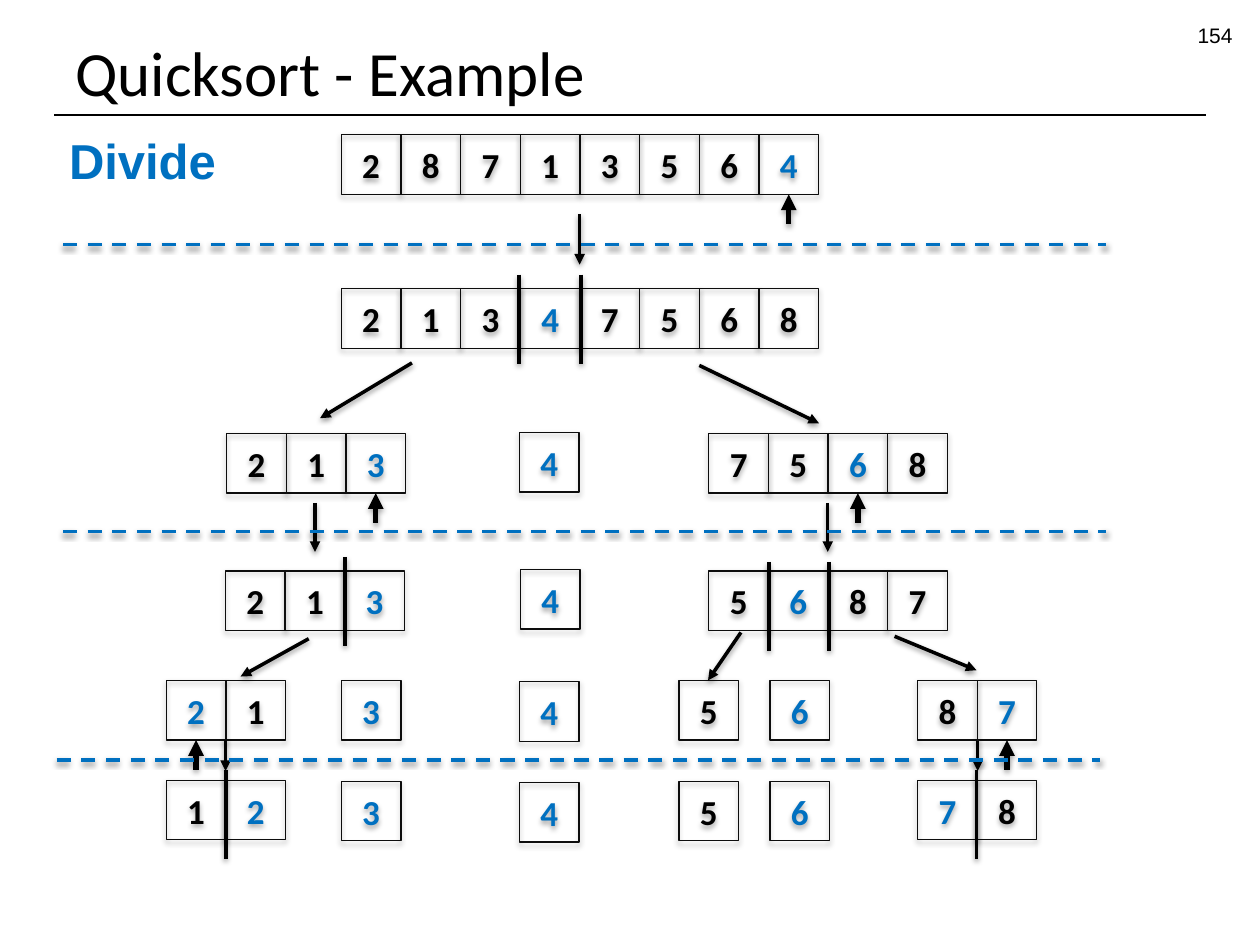
from lxml.etree import SubElement
from pptx import Presentation
from pptx.dml.color import RGBColor
from pptx.enum.dml import MSO_LINE
from pptx.enum.shapes import MSO_CONNECTOR, MSO_SHAPE
from pptx.enum.text import MSO_ANCHOR, PP_ALIGN
from pptx.oxml.ns import qn
from pptx.util import Pt

BLACK, BORDER, BLUE = "000000", "0D0D0D", "0070C0"
CELL = 34.1
CUT_LENGTH = 50.8
CELL_SHADOW = {"opacity": 35, "blur": 3.1, "distance": 1.8}
LINE_SHADOW = {"opacity": 38, "blur": 3.1, "distance": 1.6}

# left, top, values, index of the pivot (None if there is none)
ARRAYS = [
    (195, 77, "28713564", 7),
    (195, 165, "21347568", 3),
    (129.5, 247.7, "213", 2),
    (405, 247.7, "7568", 2),
    (296.8, 247, "4", 0),
    (128.8, 326.2, "213", 2),
    (405, 326.2, "5687", 1),
    (297.4, 325.4, "4", 0),
    (95, 388.8, "21", 0),
    (524.3, 388.8, "87", 1),
    (95, 445.8, "12", 1),
    (524.3, 445.8, "78", 0),
]
# left and pivot index of the single cells in the last two rows
SINGLES = [(195, "3", 0, 0), (388, "5", None, 0),
           (440, "6", 0, 0), (296.8, "4", 0, 0.7)]
SINGLE_TOPS = (388.8, 446.4)

# left and top of the array, index of the pivot that is pointed at
PIVOT_POINTERS = [(195, 77, 7), (129.5, 247.7, 2), (405, 247.7, 2),
                  (95, 388.8, 0), (524.3, 388.8, 1)]
STEP_ARROWS = [
    (331.2, 122.4, 331.2, 151.2),
    (235.4, 207.4, 182.9, 239),
    (399.6, 208.8, 468, 241.9),
    (180, 287.3, 180, 315.4),
    (473, 287.3, 473, 315.4),
    (176.4, 365, 137.5, 386.6),
    (423.4, 361.4, 404.6, 388.8),
    (511.2, 363.6, 558, 383),
    (128.9, 422.6, 128.9, 440.6),
    (558.7, 423.4, 558.7, 440.6),
]
CUTS = [(296.6, 157), (331.9, 157), (197.3, 318.2), (439.2, 321.1),
        (473.8, 321.1), (128.9, 439.9), (558, 439.9)]
LEVEL_BREAKS = [(36, 139.7), (36, 303.8), (32.4, 434.2)]


def color(hex_string):
    return RGBColor.from_string(hex_string)


def apply_format(target, values):
    for name, value in values.items():
        setattr(target, name, value)


def add_shadow(element, shadow):
    """Write the effect list; with no shadow it stays empty and hides the theme's."""
    effects = SubElement(element.spPr, qn("a:effectLst"))
    if shadow:
        outer = SubElement(effects, qn("a:outerShdw"), {
            "blurRad": str(Pt(shadow["blur"])),
            "dist": str(Pt(shadow["distance"])),
            "dir": "5400000", "rotWithShape": "0"})
        tint = SubElement(outer, qn("a:srgbClr"), val=BLACK)
        SubElement(tint, qn("a:alpha"), val=str(shadow["opacity"] * 1000))


def write_text(frame, text, hex_string, font, frame_format, align=PP_ALIGN.LEFT):
    apply_format(frame, frame_format)
    paragraph = frame.paragraphs[0]
    paragraph.alignment = align
    run = paragraph.add_run()
    run.text = text
    apply_format(run.font, font)
    run.font.color.rgb = color(hex_string)


def add_label(slide, box, text, hex_string, font, frame_format, align=PP_ALIGN.LEFT):
    label = slide.shapes.add_textbox(*map(Pt, box))
    write_text(label.text_frame, text, hex_string, font, frame_format, align)


def add_line(slide, ends, width, hex_string=BLACK, shadow=LINE_SHADOW,
             dash=None, arrow=False):
    connector = slide.shapes.add_connector(MSO_CONNECTOR.STRAIGHT, *map(Pt, ends))
    line = connector.line
    line.color.rgb = color(hex_string)
    apply_format(line, {"width": Pt(width), "dash_style": dash})
    if arrow:
        SubElement(line._get_or_add_ln(), qn("a:tailEnd"), type="triangle")
    add_shadow(connector._element, shadow)


def add_cell(slide, left, top, digit, hex_string):
    cell = slide.shapes.add_shape(MSO_SHAPE.RECTANGLE,
                                  *map(Pt, (left, top, CELL, CELL)))
    cell.fill.background()
    cell.line.color.rgb = color(BORDER)
    cell.line.width = Pt(0.75)
    add_shadow(cell._element, CELL_SHADOW)
    write_text(cell.text_frame, digit, hex_string,
               {"name": "Calibri", "size": Pt(20), "bold": True},
               {"word_wrap": False, "vertical_anchor": MSO_ANCHOR.MIDDLE},
               PP_ALIGN.CENTER)


def add_array(slide, left, top, digits, pivot):
    for index, digit in enumerate(digits):
        add_cell(slide, left + index * CELL, top, digit,
                 BLUE if index == pivot else BLACK)


def add_pivot_pointer(slide, left, top, pivot):
    center = left + (pivot + 0.5) * CELL
    bottom = top + CELL
    add_line(slide, (center, bottom + 17, center, bottom), 3,
             shadow=CELL_SHADOW, arrow=True)


def add_headings(slide):
    add_line(slide, (31, 65.8, 689, 65.8), 0.75, shadow=None)
    add_label(slide, (36, 9.4, 648, 56.2), "Quicksort - Example", BLACK,
              {"name": "Calibri", "size": Pt(36)},
              {"word_wrap": True, "vertical_anchor": MSO_ANCHOR.BOTTOM})
    add_label(slide, (543.6, 9.4, 167.8, 20.2), "154", BLACK,
              {"name": "Arial", "size": Pt(12)}, {"word_wrap": True},
              PP_ALIGN.RIGHT)
    add_label(slide, (32.4, 71.3, 100, 41), "Divide", BLUE,
              {"name": "Arial", "size": Pt(28), "bold": True},
              {"word_wrap": False})


def main():
    presentation = Presentation()
    apply_format(presentation, {"slide_width": Pt(720), "slide_height": Pt(540)})
    slide = presentation.slides.add_slide(presentation.slide_layouts[6])

    add_headings(slide)
    for array in ARRAYS:
        add_array(slide, *array)
    for top in SINGLE_TOPS:
        for left, digit, pivot, drop in SINGLES:
            add_array(slide, left, top + drop, digit, pivot)
    for pointer in PIVOT_POINTERS:
        add_pivot_pointer(slide, *pointer)
    for ends in STEP_ARROWS:
        add_line(slide, ends, 2, arrow=True)
    for x, top in CUTS:
        add_line(slide, (x, top, x, top + CUT_LENGTH), 2.25)
    for left, y in LEVEL_BREAKS:
        add_line(slide, (left, y, left + 596.2, y), 2, BLUE, dash=MSO_LINE.DASH)

    presentation.save("out.pptx")


if __name__ == "__main__":
    main()
